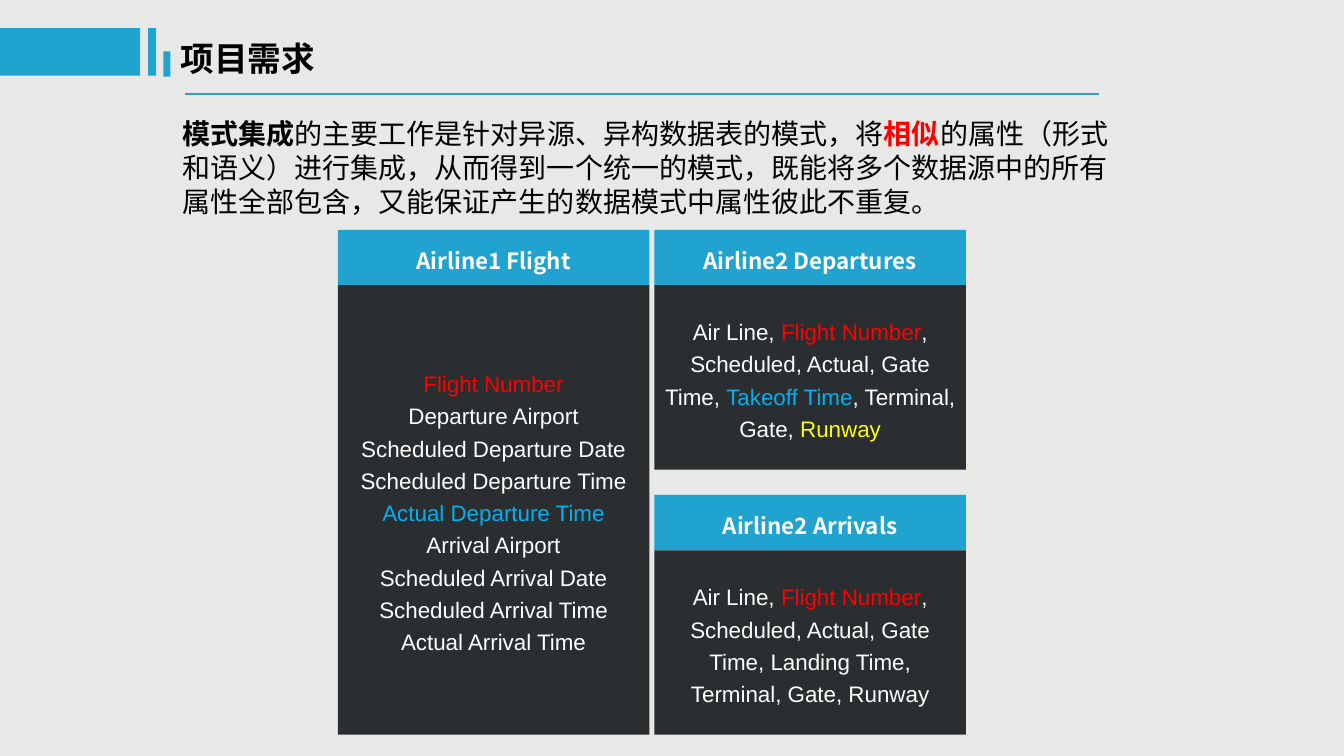
from pptx import Presentation
from pptx.dml.color import RGBColor
from pptx.enum.shapes import MSO_CONNECTOR, MSO_SHAPE
from pptx.enum.text import MSO_ANCHOR, PP_ALIGN
from pptx.oxml.ns import qn
from pptx.util import Pt

PX = 9144
RECT = MSO_SHAPE.RECTANGLE
STRAIGHT = MSO_CONNECTOR.STRAIGHT
MIDDLE, TOP = MSO_ANCHOR.MIDDLE, MSO_ANCHOR.TOP
CENTER, LEFT = PP_ALIGN.CENTER, PP_ALIGN.LEFT

BACKGROUND = RGBColor(0xE8, 0xE8, 0xE6)
ACCENT = RGBColor(0x21, 0xA3, 0xD0)
DARK = RGBColor(0x2B, 0x2E, 0x30)
WHITE = RGBColor(0xFF, 0xFF, 0xFF)
BLACK = RGBColor(0, 0, 0)
RED = RGBColor(0xFF, 0, 0)
BLUE = RGBColor(0, 0xB0, 0xF0)
YELLOW = RGBColor(0xFF, 0xFF, 0)

CJK, SANS = "Noto Sans CJK SC", "Arial"
CARD_W, HEADER_H = 309, 55

FLIGHT_FIELDS = [
    [("Flight Number", RED)],
    [("Departure Airport", WHITE)],
    [("Scheduled Departure Date", WHITE)],
    [("Scheduled Departure Time", WHITE)],
    [("Actual Departure Time", BLUE)],
    [("Arrival Airport", WHITE)],
    [("Scheduled Arrival Date", WHITE)],
    [("Scheduled Arrival Time", WHITE)],
    [("Actual Arrival Time", WHITE)],
]
DEPARTURE_FIELDS = [[
    ("Air Line, ", WHITE), ("Flight Number", RED),
    (", Scheduled, Actual, Gate Time, ", WHITE), ("Takeoff Time", BLUE),
    (", Terminal, Gate, ", WHITE), ("Runway", YELLOW),
]]
ARRIVAL_FIELDS = [[
    ("Air Line, ", WHITE), ("Flight Number", RED),
    (", Scheduled, Actual, Gate Time, Landing Time, Terminal, Gate, Runway", WHITE),
]]
CARDS = [
    (335, 228, 446, "Airline1 Flight", FLIGHT_FIELDS),
    (649, 228, 183, "Airline2 Departures", DEPARTURE_FIELDS),
    (649, 491, 183, "Airline2 Arrivals", ARRIVAL_FIELDS),
]
BARS = [(0, 28, 139, 47), (147, 28, 8, 47), (162, 51, 7, 25)]
SUMMARY = [
    ("模式集成", BLACK, True),
    ("的主要工作是针对异源、异构数据表的模式，将", BLACK, False),
    ("相似", RED, True),
    ("的属性（形式和语义）进行集成，从而得到一个统一的模式，"
     "既能将多个数据源中的所有属性全部包含，又能保证产生的数据模式中属性彼此不重复。", BLACK, False),
]


def emu(*lengths):
    return [n * PX for n in lengths]


def add_run(p, text, size, color, font, bold=False):
    r = p.add_run()
    r.text = text
    r.font.size = Pt(size)
    r.font.name = font
    r.font.bold = bold
    r.font.color.rgb = color
    ea = r.font._element.makeelement(qn("a:ea"), {"typeface": font})
    r.font._element.find(qn("a:latin")).addnext(ea)


def add_rect(slide, x, y, w, h, color):
    sp = slide.shapes.add_shape(RECT, *emu(x, y, w, h))
    sp.shadow.inherit = False
    sp.fill.solid()
    sp.fill.fore_color.rgb = color
    sp.line.fill.background()
    return sp


def fill_panel(sp, lines, font, bold=False):
    tf = sp.text_frame
    tf.word_wrap = True
    tf.vertical_anchor = MIDDLE
    for i, runs in enumerate(lines):
        p = tf.add_paragraph() if i else tf.paragraphs[0]
        p.alignment = CENTER
        p.line_spacing = 1.2
        for text, color in runs:
            add_run(p, text, 16, color, font, bold)


def add_card(slide, x, y, body_h, heading, fields):
    header = add_rect(slide, x, y, CARD_W, HEADER_H, ACCENT)
    fill_panel(header, [[(heading, WHITE)]], CJK, True)
    body = add_rect(slide, x, y + HEADER_H, CARD_W, body_h, DARK)
    fill_panel(body, fields, SANS)


def set_title(slide, text):
    sp = slide.shapes.title
    sp.left, sp.top, sp.width, sp.height = emu(169, 33, 301, 50)
    tf = sp.text_frame
    tf.vertical_anchor = TOP
    p = tf.paragraphs[0]
    p.alignment = LEFT
    add_run(p, text, 24, BLACK, CJK, True)


def add_rule(slide, x1, x2, y):
    line = slide.shapes.add_connector(STRAIGHT, *emu(x1, y, x2, y))
    line.line.color.rgb = ACCENT
    line.line.width = Pt(1.5)
    sp_pr = line._element.spPr
    sp_pr.append(sp_pr.makeelement(qn("a:effectLst"), {}))


def add_summary(slide):
    tf = slide.shapes.add_textbox(*emu(171, 111, 952, 111)).text_frame
    tf.word_wrap = True
    for text, color, bold in SUMMARY:
        add_run(tf.paragraphs[0], text, 20, color, SANS, bold)


def main():
    prs = Presentation()
    prs.slide_width, prs.slide_height = emu(1333, 750)
    slide = prs.slides.add_slide(prs.slide_layouts[5])
    slide.background.fill.solid()
    slide.background.fill.fore_color.rgb = BACKGROUND
    for card in CARDS:
        add_card(slide, *card)
    for bar in BARS:
        add_rect(slide, *bar, ACCENT)
    set_title(slide, "项目需求")
    add_rule(slide, 184, 1090, 93)
    add_summary(slide)
    prs.save("out.pptx")


if __name__ == "__main__":
    main()
